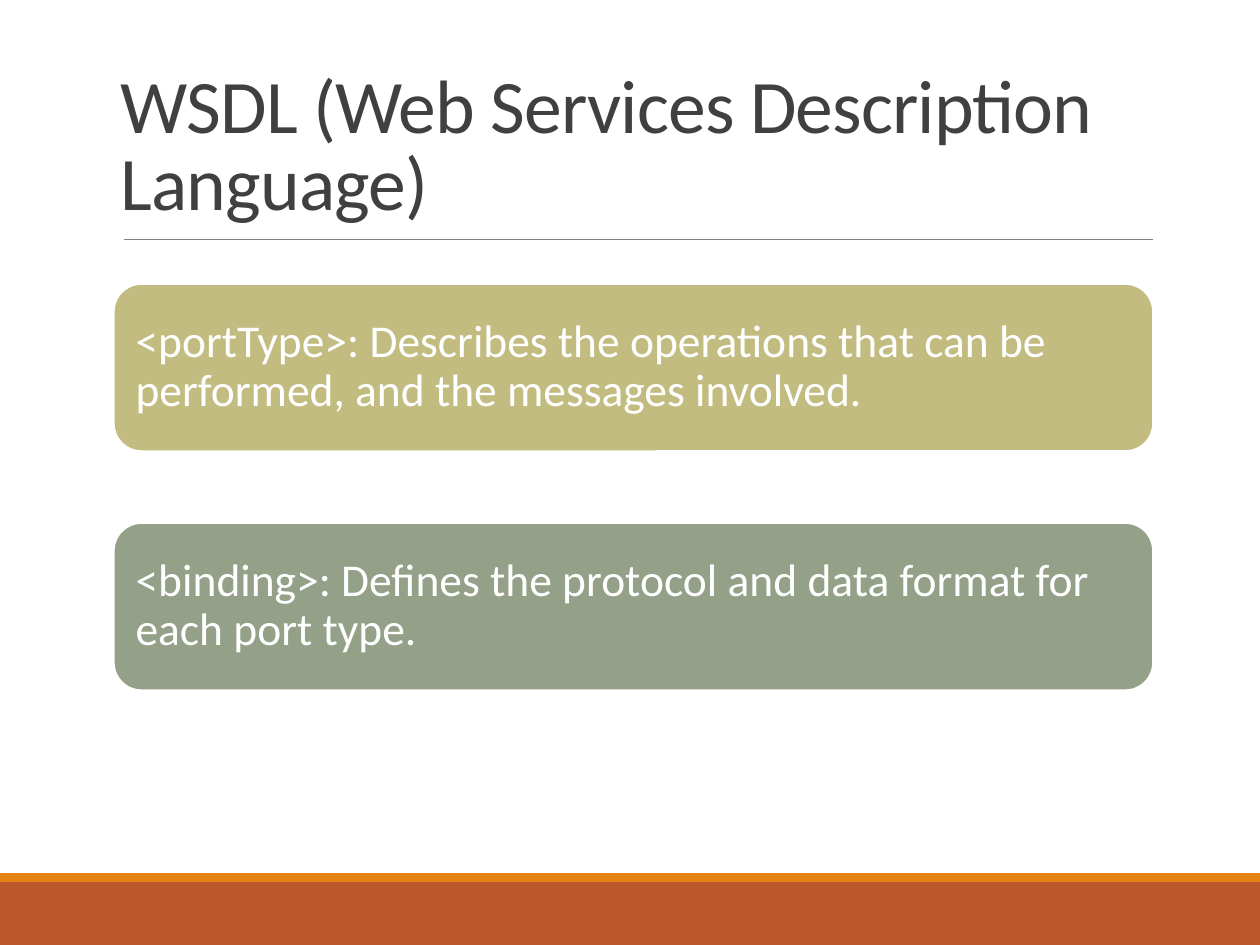
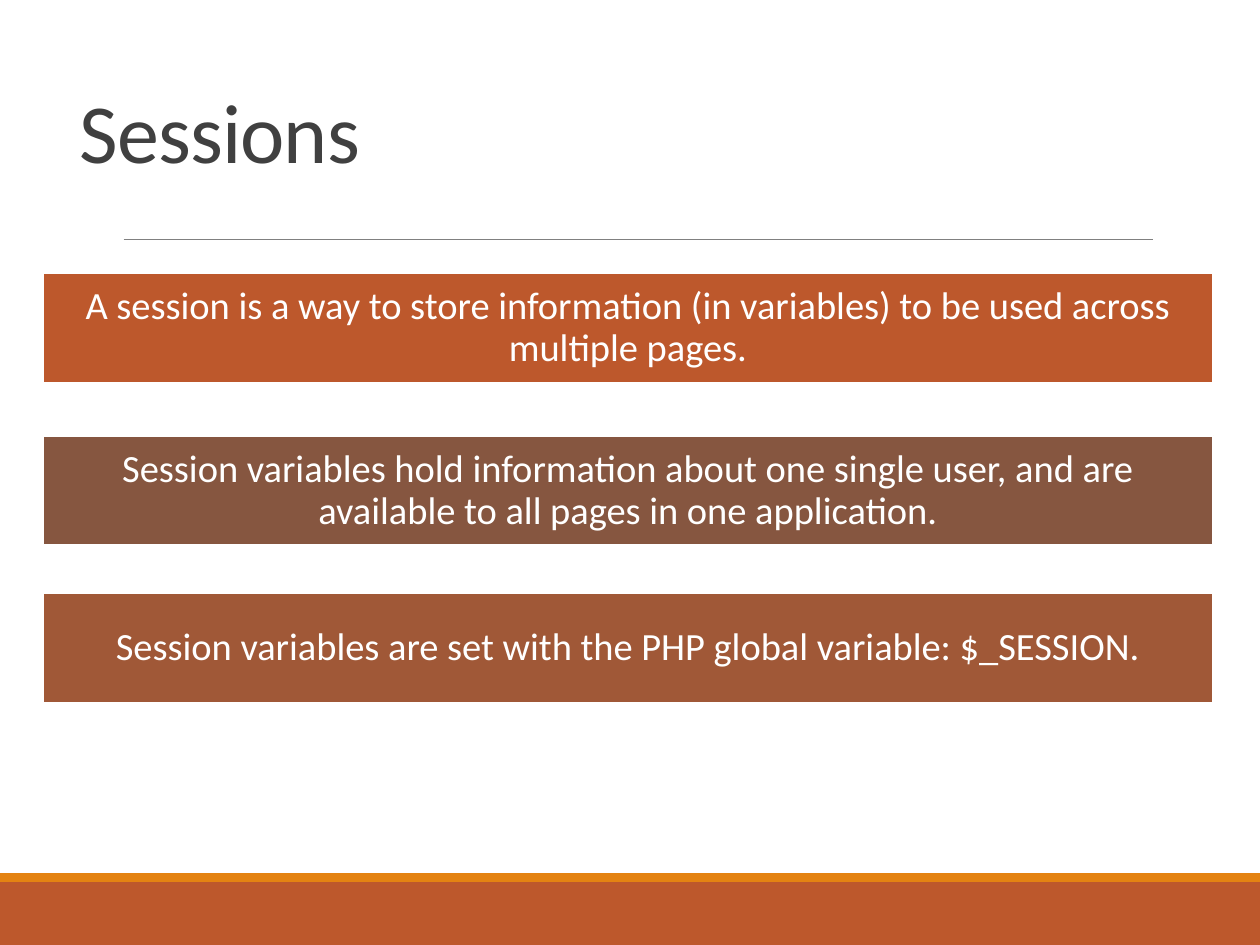
from pptx import Presentation
from pptx.dml.color import RGBColor
from pptx.enum.shapes import MSO_CONNECTOR, MSO_SHAPE
from pptx.enum.text import MSO_ANCHOR, MSO_AUTO_SIZE, PP_ALIGN
from pptx.oxml.ns import qn
from pptx.util import Cm, Pt
from lxml.etree import SubElement

WHITE = RGBColor(0xFF, 0xFF, 0xFF)
INK = RGBColor(0x40, 0x40, 0x40)
GRAY = RGBColor(0x80, 0x80, 0x80)
RUST = RGBColor(0xBD, 0x58, 0x2C)
AMBER = RGBColor(0xE4, 0x83, 0x12)
KHAKI = RGBColor(0xC2, 0xBC, 0x80)
SAGE = RGBColor(0x94, 0xA0, 0x88)
BROWN = RGBColor(0x86, 0x56, 0x40)
SIENNA = RGBColor(0xA0, 0x58, 0x37)
FONT = "Calibri"
WIDE, HIGH = 25.4, 19.05

PORTS = [
    (5.72, KHAKI, "<portType>: Describes the operations that can be "
                  "performed, and the messages involved."),
    (10.54, SAGE, "<binding>: Defines the protocol and data format "
                  "for each port type."),
]
FACTS = [
    (5.51, RUST, "A session is a way to store information (in variables) "
                 "to be used across multiple pages."),
    (8.79, BROWN, "Session variables hold information about one single user, "
                  "and are available to all pages in one application."),
    (11.96, SIENNA, "Session variables are set with the PHP global variable: "
                    "$_SESSION."),
]


def add_run(para, text, size, color):
    run = para.add_run()
    run.text = text
    run.font.name = FONT
    run.font.size = Pt(size)
    run.font.color.rgb = color
    return run


def add_block(slide, kind, box, fill):
    """Add a filled shape without outline; box is left, top, width, height in cm."""
    block = slide.shapes.add_shape(kind, *map(Cm, box))
    block.shadow.inherit = False
    block.fill.solid()
    block.fill.fore_color.rgb = fill
    block.line.fill.background()
    return block


def add_rule(slide, left, right, top):
    rule = slide.shapes.add_connector(
        MSO_CONNECTOR.STRAIGHT, Cm(left), Cm(top), Cm(right), Cm(top))
    rule.line.color.rgb = GRAY
    rule.line.width = Pt(0.5)
    SubElement(rule._element.spPr, qn("a:effectLst"))


def set_title(slide, text, box, size, anchor):
    title = slide.shapes.title
    title.left, title.top, title.width, title.height = map(Cm, box)
    frame = title.text_frame
    frame.auto_size = MSO_AUTO_SIZE.NONE
    frame.word_wrap = True
    frame.vertical_anchor = anchor
    para = frame.paragraphs[0]
    para.alignment = PP_ALIGN.LEFT
    para.line_spacing = 0.85
    run = add_run(para, text, size, INK)
    run.font._element.set("spc", "-50")


def add_slide(deck, title, box, size, anchor):
    """Add a slide with the shared bands and rule, and its title."""
    slide = deck.slides.add_slide(deck.slide_layouts[5])
    add_block(slide, MSO_SHAPE.RECTANGLE, (0, 17.78, WIDE, 1.27), RUST)
    add_block(slide, MSO_SHAPE.RECTANGLE, (0, 17.6, WIDE, 0.18), AMBER)
    add_rule(slide, 2.49, 23.24, 4.83)
    set_title(slide, title, box, size, anchor)
    return slide


def add_cards(slide, cards, kind, left, width, height, size, inset, align):
    for top, fill, text in cards:
        card = add_block(slide, kind, (left, top, width, height), fill)
        card.line.color.rgb = WHITE
        card.line.width = Pt(1.25)
        frame = card.text_frame
        frame.word_wrap = True
        frame.vertical_anchor = MSO_ANCHOR.MIDDLE
        frame.margin_left = frame.margin_right = Cm(inset)
        frame.margin_top = frame.margin_bottom = Cm(inset)
        para = frame.paragraphs[0]
        para.alignment = align
        para.line_spacing = 0.9
        add_run(para, text, size, WHITE)


def main():
    deck = Presentation()
    deck.slide_width, deck.slide_height = Cm(WIDE), Cm(HIGH)

    wsdl = add_slide(deck, "WSDL (Web Services Description Language)",
                     (2.18, 1.07, 20.96, 3.61), 43.2, MSO_ANCHOR.BOTTOM)
    add_cards(wsdl, PORTS, MSO_SHAPE.ROUNDED_RECTANGLE, 2.29, 20.96, 3.38,
              26, 0.28, PP_ALIGN.LEFT)

    session = add_slide(deck, "Sessions", (1.35, 1.78, 7.11, 14.53),
                        48, MSO_ANCHOR.TOP)
    add_cards(session, FACTS, MSO_SHAPE.RECTANGLE, 0.86, 23.6, 2.21,
              22, 0.23, PP_ALIGN.CENTER)

    deck.save("out.pptx")


if __name__ == "__main__":
    main()
